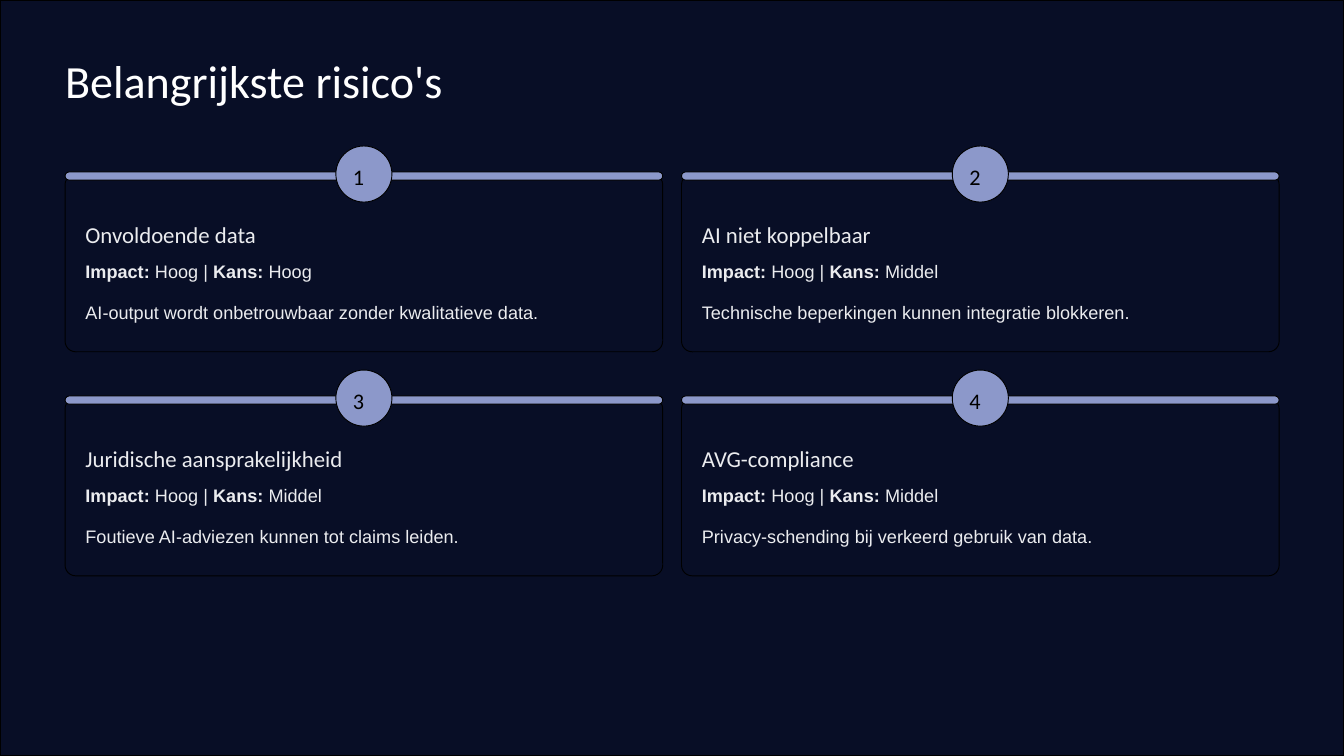
from pptx import Presentation
from pptx.dml.color import RGBColor
from pptx.enum.shapes import MSO_SHAPE as Preset
from pptx.util import Cm, Pt

COLORS = {
    "night": "080E26",
    "accent": "8C98CA",
    "black": "000000",
    "white": "FFFFFF",
    "body": "EBECEF",
}
SLIDE_WIDTH, SLIDE_HEIGHT = 50.8, 28.58
CARD_LEFT, CARD_TOP = 2.46, 6.58
CARD_WIDTH, CARD_HEIGHT = 22.59, 6.72
PITCH_X, PITCH_Y = 23.3, 8.47
BADGE_SIZE = 2.12
TEXT_INSET, TEXT_WIDTH = 0.77, 21.03
RISKS = [
    ("Onvoldoende data", 8.76, "Hoog", "Hoog",
     "AI-output wordt onbetrouwbaar zonder kwalitatieve data."),
    ("AI niet koppelbaar", 8.76, "Hoog", "Middel",
     "Technische beperkingen kunnen integratie blokkeren."),
    ("Juridische aansprakelijkheid", 12.06, "Hoog", "Middel",
     "Foutieve AI-adviezen kunnen tot claims leiden."),
    ("AVG-compliance", 8.76, "Hoog", "Middel",
     "Privacy-schending bij verkeerd gebruik van data."),
]


def color(name):
    return RGBColor.from_string(COLORS[name])


def add_panel(slide, preset, left, top, width, height, fill, radius=None):
    shape = slide.shapes.add_shape(preset, Cm(left), Cm(top), Cm(width), Cm(height))
    shape.shadow.inherit = False
    shape.fill.solid()
    shape.fill.fore_color.rgb = color(fill)
    shape.line.color.rgb = color("black")
    shape.line.width = Pt(1)
    if radius is not None:
        shape.adjustments[0] = radius


def add_text(slide, left, top, width, height, runs, font, size, spacing, ink):
    frame = slide.shapes.add_textbox(Cm(left), Cm(top), Cm(width), Cm(height)).text_frame
    frame.word_wrap = True
    frame.margin_left = frame.margin_right = frame.margin_top = frame.margin_bottom = 0
    paragraph = frame.paragraphs[0]
    paragraph.line_spacing = Pt(spacing)
    paragraph.font.name = font
    paragraph.font.size = Pt(size)
    paragraph.font.color.rgb = color(ink)
    for text, bold in runs:
        run = paragraph.add_run()
        run.text = text
        if bold:
            run.font.bold = True


def add_risk(slide, index, heading, heading_width, impact, chance, detail):
    row, column = divmod(index, 2)
    left = CARD_LEFT + column * PITCH_X
    top = CARD_TOP + row * PITCH_Y
    text_left = left + TEXT_INSET
    add_panel(slide, Preset.ROUNDED_RECTANGLE, left, top, CARD_WIDTH, CARD_HEIGHT, "night", 0.06)
    add_panel(slide, Preset.ROUNDED_RECTANGLE, left, top - 0.08, CARD_WIDTH, 0.31, "accent", 0.5)
    add_panel(slide, Preset.OVAL, left + (CARD_WIDTH - BADGE_SIZE) / 2, top - BADGE_SIZE / 2,
              BADGE_SIZE, BADGE_SIZE, "accent")
    add_text(slide, left + 10.88, top - 0.76, 0.84, 1.3, [(str(index + 1), False)],
             "Calibri", 23.8, 38.1, "black")
    add_text(slide, text_left, top + 1.73, heading_width, 1.12, [(heading, False)],
             "Calibri", 24.4, 30.6, "body")
    rating = [("Impact:", True), (f" {impact} | ", False), ("Kans:", True), (f" {chance}", False)]
    for offset, runs in ((3.0, rating), (4.55, [(detail, False)])):
        add_text(slide, text_left, top + offset, TEXT_WIDTH, 1.4, runs,
                 "Arial", 19.4, 31.2, "body")


def main():
    presentation = Presentation()
    presentation.slide_width = Cm(SLIDE_WIDTH)
    presentation.slide_height = Cm(SLIDE_HEIGHT)
    slide = presentation.slides.add_slide(presentation.slide_layouts[6])
    add_panel(slide, Preset.RECTANGLE, 0, 0, SLIDE_WIDTH, SLIDE_HEIGHT, "night")
    add_text(slide, CARD_LEFT, 1.88, 17.53, 2.24, [("Belangrijkste risico's", False)],
             "Calibri", 49.4, 61.9, "white")
    for index, risk in enumerate(RISKS):
        add_risk(slide, index, *risk)
    presentation.save("out.pptx")


if __name__ == "__main__":
    main()
